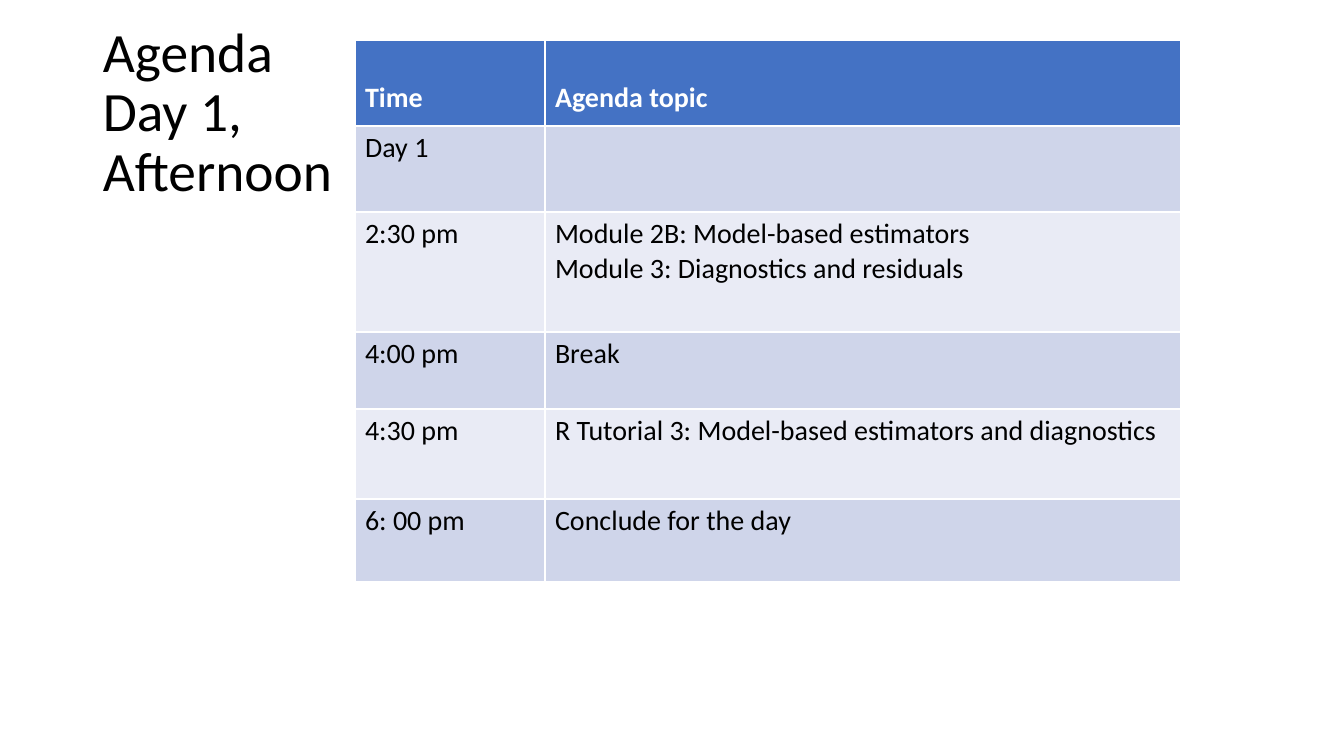
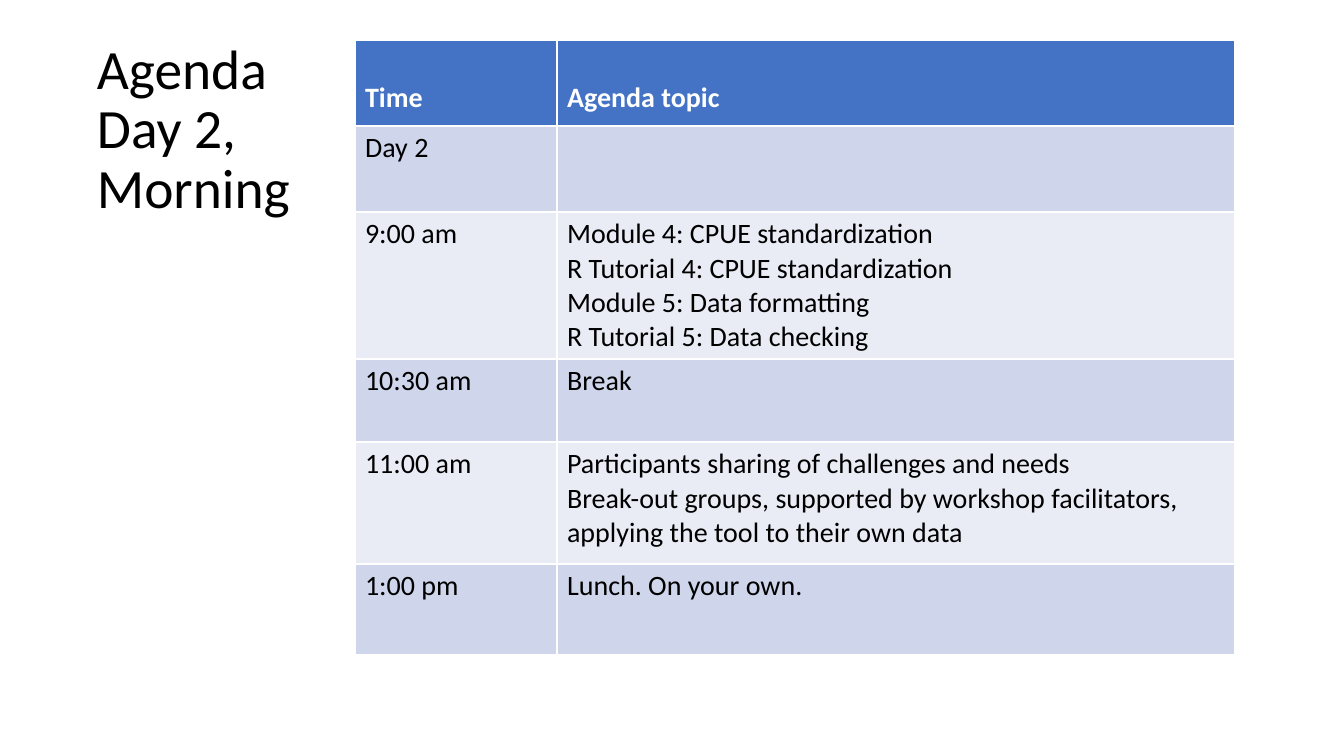
from pptx import Presentation
from pptx.dml.color import RGBColor
from pptx.enum.text import MSO_ANCHOR as Anchor
from pptx.util import Emu, Pt

PAGE_WIDTH, PAGE_HEIGHT = 1344, 756
EMU_PER_PX = 12192000 / PAGE_WIDTH


def px(length):
    return Emu(round(length * EMU_PER_PX))


def color(hex_text):
    return RGBColor.from_string(hex_text)


class AgendaDeck:
    """Holds the shared style and the current slide."""

    FONT = "Calibri"
    TITLE_SIZE, TABLE_SIZE = 39.6, 20
    BLACK, WHITE = "000000", "FFFFFF"
    HEADER_FILL = "4472C4"
    BAND_FILLS = ("CFD5EA", "E9EBF5")
    TITLE_WIDTH, TITLE_HEIGHT = 268, 148
    TABLE_LEFT, TABLE_TOP = 355, 40
    HEADER_BOTTOM = 11
    HEADINGS = ("Time", ["Agenda topic"])

    def __init__(self):
        self.deck = Presentation()
        self.deck.slide_width = px(PAGE_WIDTH)
        self.deck.slide_height = px(PAGE_HEIGHT)
        self.page = None

    def add_page(self):
        self.page = self.deck.slides.add_slide(self.deck.slide_layouts[6])
        background = self.page.background.fill
        background.solid()
        background.fore_color.rgb = color(self.WHITE)

    def add_span(self, para, text, size, ink, bold=False):
        span = para.add_run()
        span.text = text
        span.font.name = self.FONT
        span.font.size = Pt(size)
        span.font.bold = bold
        span.font.color.rgb = color(ink)

    def add_title(self, left, top, lines, bottom_inset=5):
        box = self.page.shapes.add_textbox(
            px(left), px(top), px(self.TITLE_WIDTH), px(self.TITLE_HEIGHT))
        frame = box.text_frame
        frame.word_wrap = True
        frame.vertical_anchor = Anchor.MIDDLE
        frame.margin_bottom = px(bottom_inset)
        para = frame.paragraphs[0]
        para.line_spacing = 0.9
        for index, line in enumerate(lines):
            if index:
                para.add_line_break()
            self.add_span(para, line, self.TITLE_SIZE, self.BLACK)

    def fill_cell(self, cell, lines, fill, ink, bold):
        cell.fill.solid()
        cell.fill.fore_color.rgb = color(fill)
        frame = cell.text_frame
        for index, line in enumerate(lines):
            para = frame.add_paragraph() if index else frame.paragraphs[0]
            self.add_span(para, line, self.TABLE_SIZE, ink, bold)

    def add_agenda(self, widths, heights, entries):
        rows = [self.HEADINGS, *entries]
        table = self.page.shapes.add_table(
            len(rows), len(widths), px(self.TABLE_LEFT), px(self.TABLE_TOP),
            px(sum(widths)), px(sum(heights))).table
        for column, width in zip(table.columns, widths):
            column.width = px(width)
        for index, (row, height, (time, topics)) in enumerate(
                zip(table.rows, heights, rows)):
            row.height = px(height)
            header = index == 0
            fill = self.HEADER_FILL if header else self.BAND_FILLS[(index - 1) % 2]
            ink = self.WHITE if header else self.BLACK
            for cell, lines in zip(row.cells, ([time], topics)):
                self.fill_cell(cell, lines, fill, ink, header)
                if header:
                    cell.vertical_anchor = Anchor.BOTTOM
                    cell.margin_bottom = px(self.HEADER_BOTTOM)

    def save(self):
        self.deck.save("out.pptx")


def main():
    agenda = AgendaDeck()

    # Day 1, afternoon
    agenda.add_page()
    agenda.add_title(93, 40, ["Agenda", "Day 1,", "Afternoon"])
    agenda.add_agenda([190, 636], [86, 86, 120, 77, 90, 83], [
        ("Day 1", []),
        ("2:30 pm", ["Module 2B: Model-based estimators",
                     "Module 3: Diagnostics and residuals"]),
        ("4:00 pm", ["Break"]),
        ("4:30 pm", ["R Tutorial 3: Model-based estimators and diagnostics"]),
        ("6: 00 pm", ["Conclude for the day"]),
    ])

    # Day 2, morning: the deeper inset lifts the title by half a line
    agenda.add_page()
    agenda.add_title(87, 87, ["Agenda", "Day 2,", "Morning"], bottom_inset=65)
    agenda.add_agenda([202, 678], [86, 86, 147, 83, 122, 91], [
        ("Day 2", []),
        ("9:00 am", ["Module 4: CPUE standardization",
                     "R Tutorial 4: CPUE standardization",
                     "Module 5: Data formatting",
                     "R Tutorial 5: Data checking"]),
        ("10:30 am", ["Break"]),
        ("11:00 am", ["Participants sharing of challenges and needs",
                      "Break-out groups, supported by workshop facilitators, "
                      "applying the tool to their own data"]),
        ("1:00 pm", ["Lunch. On your own."]),
    ])

    agenda.save()


if __name__ == "__main__":
    main()
